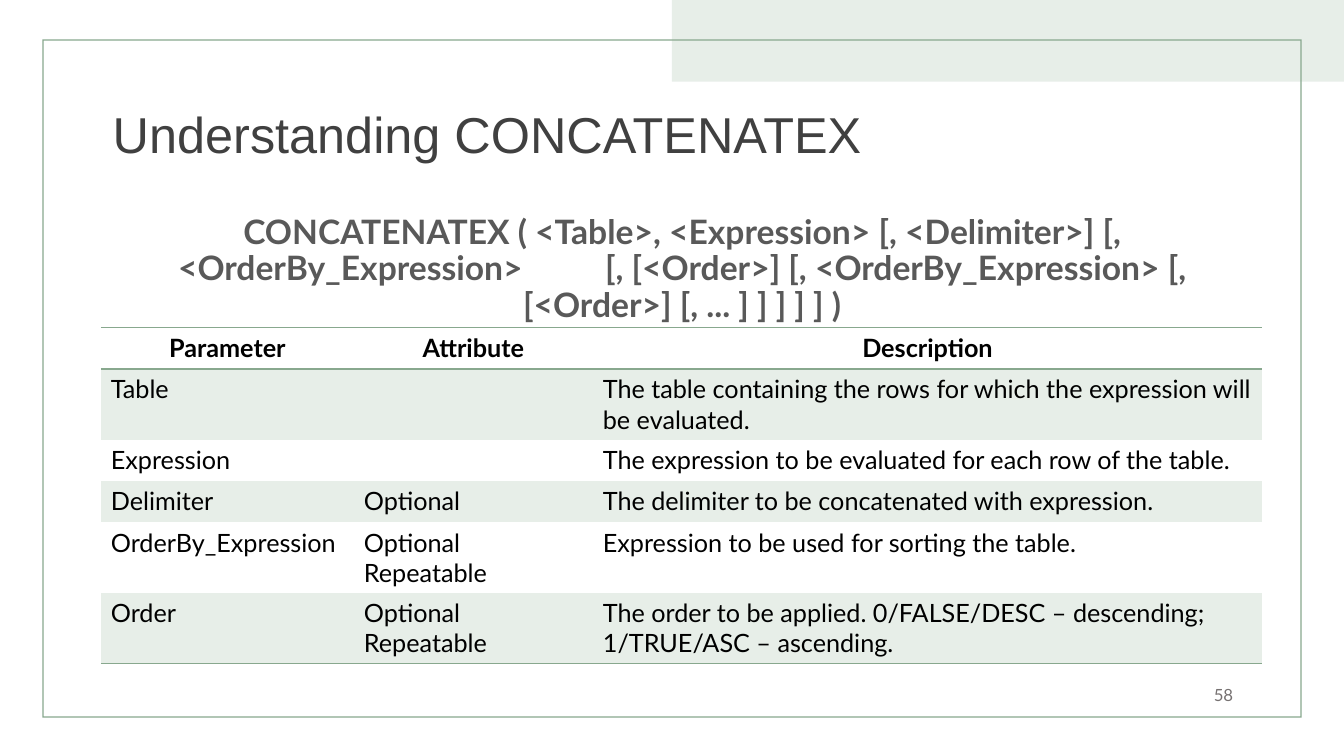
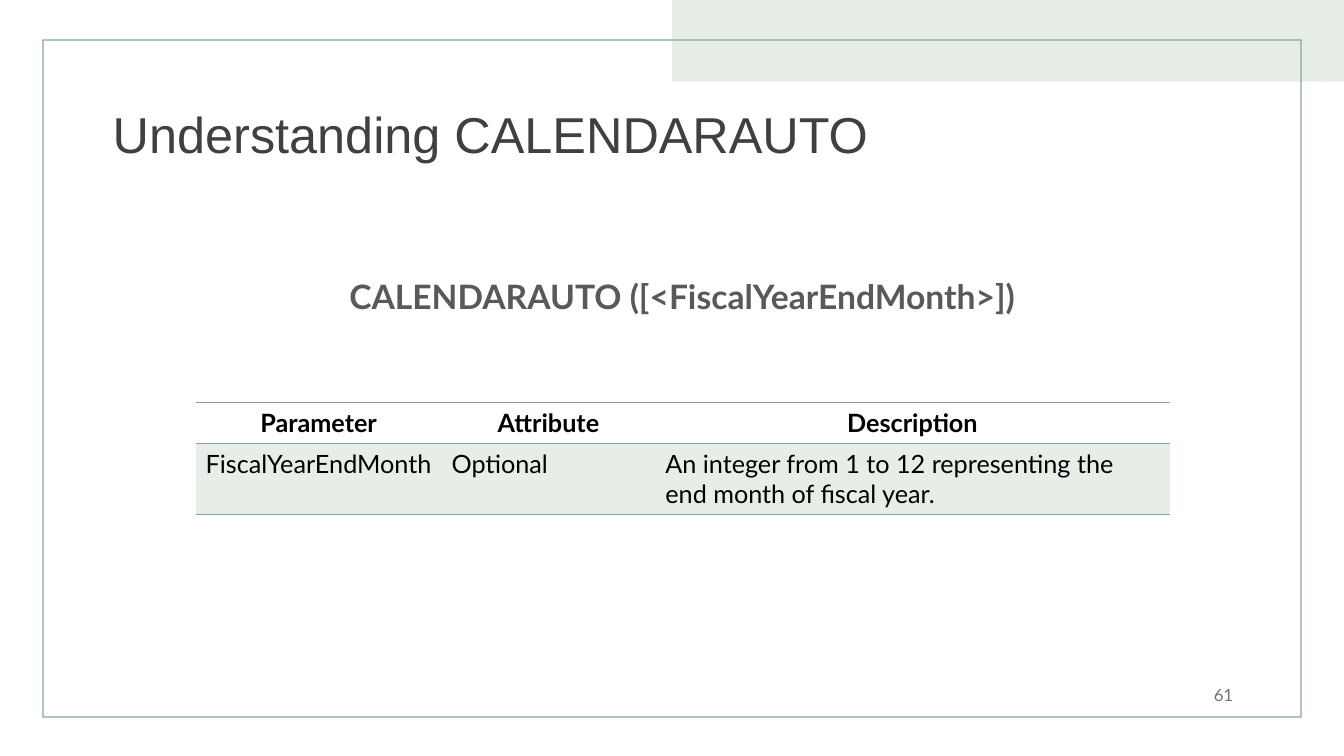
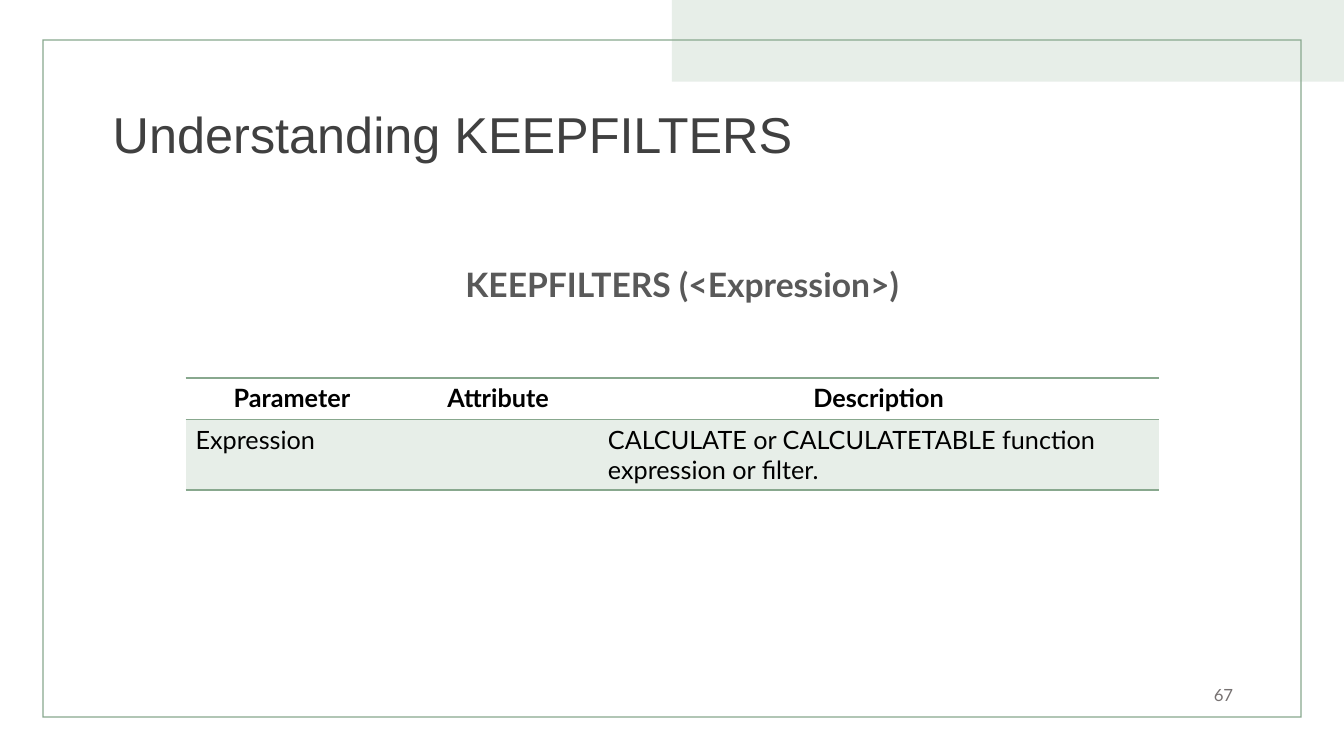
from lxml.etree import SubElement
from pptx import Presentation
from pptx.dml.color import RGBColor
from pptx.enum.shapes import MSO_SHAPE
from pptx.enum.text import MSO_ANCHOR, PP_ALIGN
from pptx.oxml.ns import qn
from pptx.util import Inches, Pt

# Shared look
GREEN = RGBColor(0x88, 0xA8, 0x8E)
PALE_GREEN = RGBColor(0xE7, 0xEE, 0xE8)
TITLE_GRAY = RGBColor(0x40, 0x40, 0x40)
SYNTAX_GRAY = RGBColor(0x59, 0x59, 0x59)
NUMBER_GRAY = RGBColor(0x76, 0x71, 0x71)
BLACK = RGBColor(0, 0, 0)
TITLE_FONT, BODY_FONT = "Arial", "Lato"
PLAIN_TABLE_STYLE = "{2D5ABB26-0587-4C30-8999-92F81FD0307C}"

SLIDE_W, SLIDE_H = 13.33, 7.5
BAND_BOX = (SLIDE_W / 2, 0, SLIDE_W / 2, 0.81)
FRAME_BOX = (0.42, 0.39, 12.49, 6.73)
TITLE_BOX = (1.02, 0.53, 11.5, 1.67)
NUMBER_BOX = (9.33, 6.69, 3, 0.4)
LINE_ROW_H, EXTRA_LINE_H = 0.41, 0.29
HEADINGS = ("Parameter", "Attribute", "Description")

# Each syntax is a list of parts with a wide gap between them;
# each row ends with the number of lines it takes.
FUNCTIONS = [
    {
        "name": "CONCATENATEX",
        "number": 58,
        "syntax": [
            "CONCATENATEX ( <Table>, <Expression> [, <Delimiter>] [, <OrderBy_Expression>",
            "[, [<Order>] [, <OrderBy_Expression> [, [<Order>] [, ... ] ] ] ] ] )",
        ],
        "syntax_box": (0.89, 2.09, 11.75, 1.15),
        "table_at": (1, 3.25),
        "columns": (2.51, 2.37, 6.64),
        "rows": [
            ("Table", "", "The table containing the rows for which the expression will be evaluated.", 2),
            ("Expression", "", "The expression to be evaluated for each row of the table.", 1),
            ("Delimiter", "Optional", "The delimiter to be concatenated with expression.", 1),
            ("OrderBy_Expression", "Optional\nRepeatable", "Expression to be used for sorting the table.", 2),
            ("Order", "Optional\nRepeatable",
             "The order to be applied. 0/FALSE/DESC – descending; 1/TRUE/ASC – ascending.", 2),
        ],
    },
    {
        "name": "CALENDARAUTO",
        "number": 61,
        "syntax": ["CALENDARAUTO ([<FiscalYearEndMonth>])"],
        "syntax_box": (0.89, 2.73, 11.75, 0.55),
        "table_at": (1.94, 3.99),
        "columns": (2.44, 2.12, 5.1),
        "rows": [
            ("FiscalYearEndMonth", "Optional",
             "An integer from 1 to 12 representing the end month of fiscal year.", 2),
        ],
    },
    {
        "name": "KEEPFILTERS",
        "number": 67,
        "syntax": ["KEEPFILTERS (<Expression>)"],
        "syntax_box": (0.89, 2.61, 11.75, 0.55),
        "table_at": (1.84, 3.75),
        "columns": (2.11, 1.98, 5.57),
        "rows": [
            ("Expression", "", "CALCULATE or CALCULATETABLE function expression or filter.", 2),
        ],
    },
]


def inches(box):
    return [Inches(length) for length in box]


def style_run(run, size, color, font=BODY_FONT, bold=False):
    run.font.size = Pt(size)
    run.font.name = font
    run.font.bold = bold
    run.font.color.rgb = color


def add_panel(slide, preset, box, color):
    panel = slide.shapes.add_shape(preset, *inches(box))
    panel.shadow.inherit = False
    panel.fill.solid()
    panel.fill.fore_color.rgb = color
    panel.line.fill.background()
    return panel


def add_text(slide, box, text, anchor=MSO_ANCHOR.MIDDLE, align=PP_ALIGN.LEFT):
    """Place a wrapping one-paragraph text box and return the paragraph."""
    frame = slide.shapes.add_textbox(*inches(box)).text_frame
    frame.word_wrap = True
    frame.vertical_anchor = anchor
    frame.text = text
    paragraph = frame.paragraphs[0]
    paragraph.alignment = align
    return paragraph


def add_backdrop(slide):
    add_panel(slide, MSO_SHAPE.RECTANGLE, BAND_BOX, PALE_GREEN)
    border = add_panel(slide, MSO_SHAPE.FRAME, FRAME_BOX, GREEN)
    border.adjustments[0] = 0.002


def add_title(slide, title):
    paragraph = add_text(slide, TITLE_BOX, title)
    paragraph.line_spacing = 0.9
    style_run(paragraph.runs[0], 36, TITLE_GRAY, TITLE_FONT)


def add_page_number(slide, number):
    paragraph = add_text(slide, NUMBER_BOX, str(number), align=PP_ALIGN.RIGHT)
    style_run(paragraph.runs[0], 12, NUMBER_GRAY)


def add_syntax(slide, box, parts):
    paragraph = add_text(slide, box, parts[0], MSO_ANCHOR.TOP, PP_ALIGN.CENTER)
    paragraph.line_spacing = 0.9
    paragraph.space_before, paragraph.space_after = Pt(10), Pt(12)
    for part in parts[1:]:
        # One space, widened by character spacing (hundredths of a point)
        gap = paragraph.add_run()
        gap.text = " "
        gap.font._element.set("spc", "5300")
        paragraph.add_run().text = part
    for run in paragraph.runs:
        style_run(run, 24, SYNTAX_GRAY, bold=True)


def add_rule(cell, side):
    """Draw a cell border; side is lnT or lnB."""
    rule = SubElement(cell._tc.get_or_add_tcPr(), qn(f"a:{side}"), w=str(Pt(1)))
    fill = SubElement(rule, qn("a:solidFill"))
    SubElement(fill, qn("a:srgbClr"), val=str(GREEN))


def fill_cell(cell, text, is_header, is_shaded, is_last):
    # Rules come before the fill in the cell's properties
    if is_header:
        add_rule(cell, "lnT")
    if is_header or is_last:
        add_rule(cell, "lnB")
    if is_shaded:
        cell.fill.solid()
        cell.fill.fore_color.rgb = PALE_GREEN
    else:
        cell.fill.background()
    cell.text_frame.text = text
    for paragraph in cell.text_frame.paragraphs:
        paragraph.alignment = PP_ALIGN.CENTER if is_header else PP_ALIGN.LEFT
        for run in paragraph.runs:
            style_run(run, 18, BLACK, bold=is_header)


def add_parameters(slide, left_top, columns, rows):
    lines = [(*HEADINGS, 1), *rows]
    heights = [LINE_ROW_H + EXTRA_LINE_H * (line[-1] - 1) for line in lines]
    box = (*left_top, sum(columns), sum(heights))
    table = slide.shapes.add_table(len(lines), len(columns), *inches(box)).table
    table._tbl.tblPr.find(qn("a:tableStyleId")).text = PLAIN_TABLE_STYLE
    for column, width in zip(table.columns, columns):
        column.width = Inches(width)
    for index, (row, height, line) in enumerate(zip(table.rows, heights, lines)):
        row.height = Inches(height)
        for cell, text in zip(row.cells, line[:-1]):
            fill_cell(cell, text, index == 0, index % 2 == 1, index == len(lines) - 1)


def add_function_slide(deck, function):
    slide = deck.slides.add_slide(deck.slide_layouts[6])
    add_backdrop(slide)
    add_title(slide, f"Understanding {function['name']}")
    add_syntax(slide, function["syntax_box"], function["syntax"])
    add_page_number(slide, function["number"])
    add_parameters(slide, function["table_at"], function["columns"], function["rows"])


def main():
    deck = Presentation()
    deck.slide_width, deck.slide_height = Inches(SLIDE_W), Inches(SLIDE_H)
    for function in FUNCTIONS:
        add_function_slide(deck, function)
    deck.save("out.pptx")


if __name__ == "__main__":
    main()
